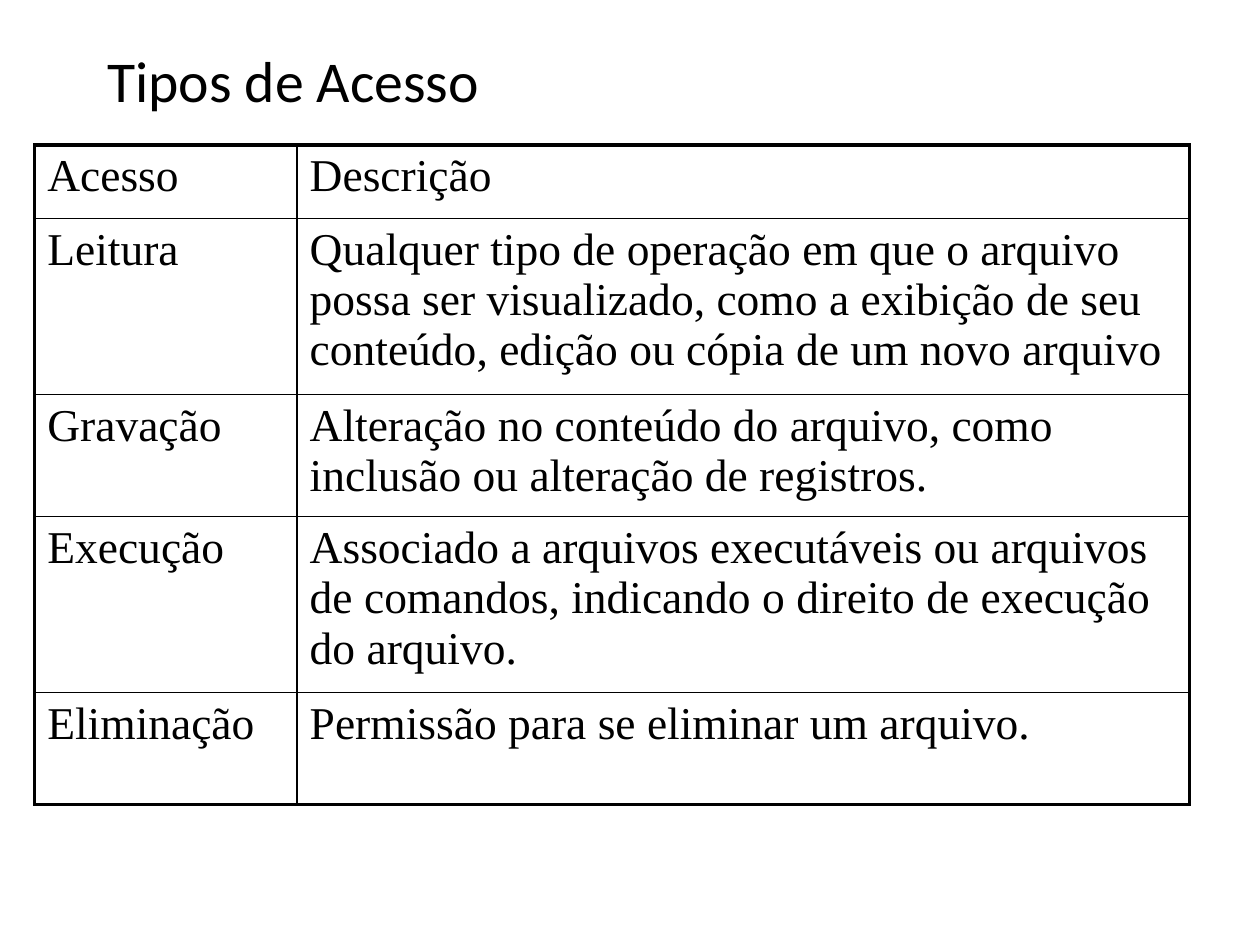
import dataclasses
import typing

import lxml.etree
import pptx
import pptx.dml.color
import pptx.enum.text
import pptx.oxml.ns
import pptx.util
from pptx.util import Cm


@dataclasses.dataclass(frozen=True)
class Theme:
    ink: str = "000000"
    paper: str = "FFFFFF"
    title_font: str = "Calibri"
    table_font: str = "Times New Roman"
    title_size: float = 33
    table_size: float = 26
    thin_line: float = 1
    thick_line: float = 2.25


class AccessType(typing.NamedTuple):
    name: str
    description: str
    height: pptx.util.Length


THEME = Theme()
THREE_LINES = Cm(3.31)
TWO_LINES = Cm(2.29)
HEADER = AccessType("Acesso", "Descrição", Cm(1.48))
ACCESS_TYPES = [
    AccessType(
        "Leitura",
        "Qualquer tipo de operação em que o arquivo possa ser visualizado, "
        "como a exibição de seu conteúdo, edição ou cópia de um novo arquivo",
        THREE_LINES,
    ),
    AccessType(
        "Gravação",
        "Alteração no conteúdo do arquivo, como inclusão ou alteração de registros.",
        TWO_LINES,
    ),
    AccessType(
        "Execução",
        "Associado a arquivos executáveis ou arquivos de comandos, "
        "indicando o direito de execução do arquivo.",
        THREE_LINES,
    ),
    AccessType("Eliminação", "Permissão para se eliminar um arquivo.", Cm(2.25)),
]
COLUMN_WIDTHS = [Cm(5.29), Cm(17.99)]


def style_paragraph(para, font_name: str, size: float) -> None:
    para.alignment = pptx.enum.text.PP_ALIGN.LEFT
    para.font.name = font_name
    para.font.size = pptx.util.Pt(size)
    para.font.color.rgb = pptx.dml.color.RGBColor.from_string(THEME.ink)


def add_title(page, text: str) -> None:
    box = page.shapes.add_textbox(Cm(1.91), Cm(0), Cm(21.59), Cm(3.38))
    frame = box.text_frame
    frame.word_wrap = True
    frame.vertical_anchor = pptx.enum.text.MSO_ANCHOR.MIDDLE
    para = frame.paragraphs[0]
    para.text = text
    para.line_spacing = 0.9
    style_paragraph(para, THEME.title_font, THEME.title_size)


def set_borders(cell, outer_sides: dict[str, bool]) -> None:
    properties = cell._tc.get_or_add_tcPr()
    for position, (side, is_outer) in enumerate(outer_sides.items()):
        points = THEME.thick_line if is_outer else THEME.thin_line
        line = lxml.etree.Element(
            pptx.oxml.ns.qn(f"a:{side}"), w=str(pptx.util.Pt(points))
        )
        fill = lxml.etree.SubElement(line, pptx.oxml.ns.qn("a:solidFill"))
        lxml.etree.SubElement(fill, pptx.oxml.ns.qn("a:srgbClr"), val=THEME.ink)
        properties.insert(position, line)


def add_access_table(page, entries: list[AccessType]) -> None:
    frame = page.shapes.add_table(
        len(entries), len(COLUMN_WIDTHS), Cm(0.7), Cm(2.92),
        sum(COLUMN_WIDTHS), sum(entry.height for entry in entries),
    )
    table = frame.table
    table.first_row = False
    table.horz_banding = False
    for column, width in zip(table.columns, COLUMN_WIDTHS):
        column.width = width
    last_row, last_column = len(entries) - 1, len(COLUMN_WIDTHS) - 1
    for row_index, entry in enumerate(entries):
        table.rows[row_index].height = entry.height
        for column_index, text in enumerate((entry.name, entry.description)):
            cell = table.cell(row_index, column_index)
            cell.fill.solid()
            cell.fill.fore_color.rgb = pptx.dml.color.RGBColor.from_string(THEME.paper)
            para = cell.text_frame.paragraphs[0]
            para.text = text
            style_paragraph(para, THEME.table_font, THEME.table_size)
            set_borders(cell, {
                "lnL": column_index == 0,
                "lnR": column_index == last_column,
                "lnT": row_index == 0,
                "lnB": row_index == last_row,
            })


def main() -> None:
    deck = pptx.Presentation()
    deck.slide_width = Cm(25.4)
    deck.slide_height = Cm(19.05)
    page = deck.slides.add_slide(deck.slide_layouts[6])
    add_title(page, "Tipos de Acesso")
    add_access_table(page, [HEADER, *ACCESS_TYPES])
    deck.save("out.pptx")


if __name__ == "__main__":
    main()
